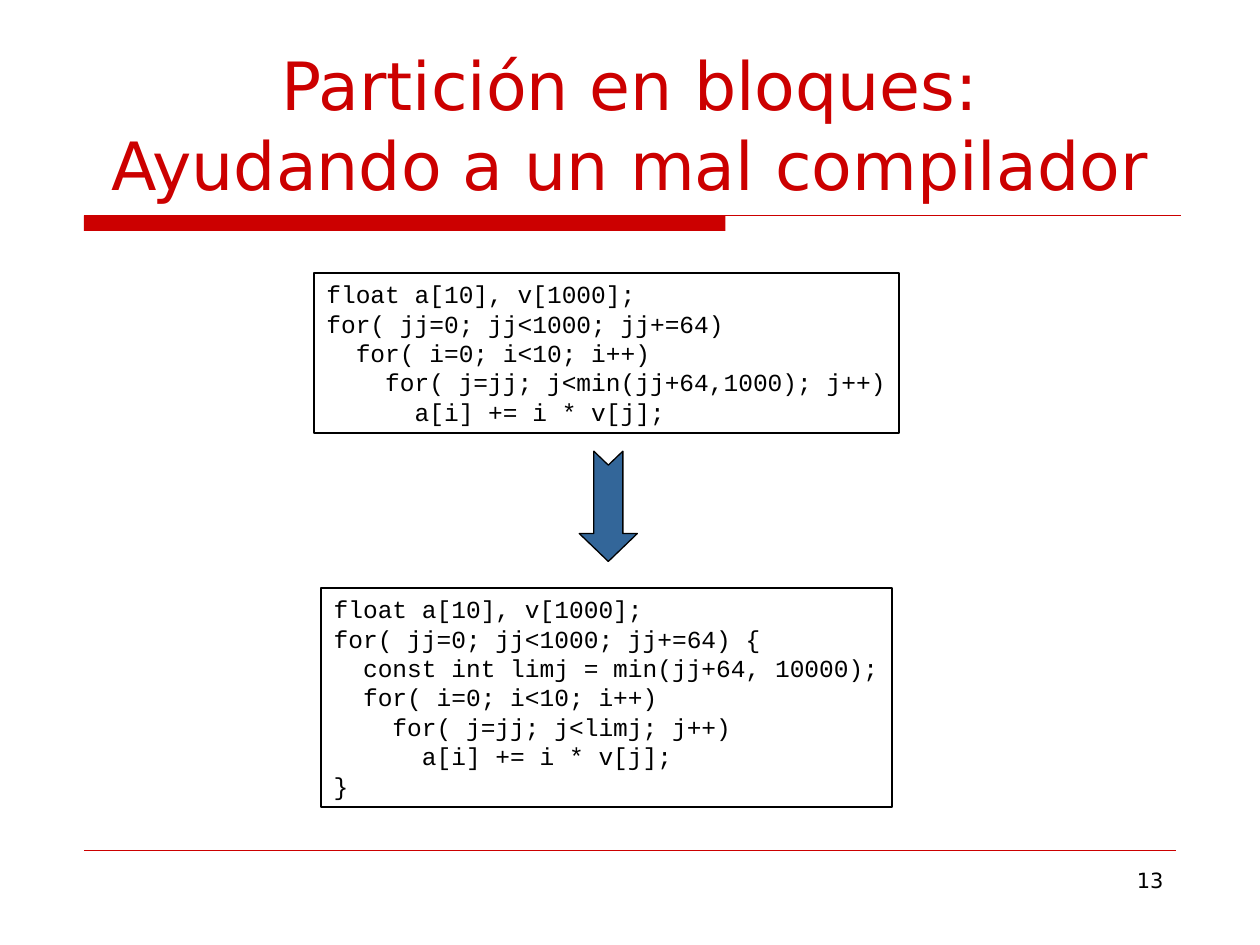
from dataclasses import dataclass

from pptx import Presentation
from pptx.dml.color import RGBColor as Rgb
from pptx.enum.shapes import MSO_CONNECTOR as Conn, MSO_SHAPE as Kind
from pptx.enum.text import MSO_ANCHOR as Anchor, MSO_AUTO_SIZE as Fit, PP_ALIGN as Align
from pptx.oxml.ns import qn
from pptx.util import Pt


@dataclass(frozen=True)
class Theme:
    red: Rgb = Rgb(0xCC, 0, 0)
    blue: Rgb = Rgb(0x33, 0x66, 0x99)
    ink: Rgb = Rgb(0, 0, 0)
    sans: str = "DejaVu Sans"
    mono: str = "Courier New"
    head: int = 38
    code: int = 14
    note: int = 12


THEME = Theme()

FIRST = """float a[10], v[1000];
for( jj=0; jj<1000; jj+=64)
  for( i=0; i<10; i++)
    for( j=jj; j<min(jj+64,1000); j++)
      a[i] += i * v[j];"""

SECOND = """float a[10], v[1000];
for( jj=0; jj<1000; jj+=64) {
  const int limj = min(jj+64, 10000);
  for( i=0; i<10; i++)
    for( j=jj; j<limj; j++)
      a[i] += i * v[j];
}"""


def pts(box):
    return [Pt(v) for v in box]


def add_run(para, text, font, size, color):
    run = para.add_run()
    run.text = text
    run.font.name = font
    run.font.size = Pt(size)
    run.font.color.rgb = color


def add_rule(slide, box, weight):
    x, y, wide = box
    rule = slide.shapes.add_connector(Conn.STRAIGHT, *pts((x, y, x + wide, y)))
    rule.line.color.rgb = THEME.red
    rule.line.width = Pt(weight)
    props = rule._element.spPr
    props.append(props.makeelement(qn("a:effectLst"), {}))


def add_title(slide, box, lines):
    title = slide.shapes.title
    title.left, title.top, title.width, title.height = pts(box)
    frame = title.text_frame
    frame.word_wrap = True
    frame.auto_size = Fit.NONE
    frame.vertical_anchor = Anchor.BOTTOM
    para = frame.paragraphs[0]
    para.alignment = Align.CENTER
    for i, line in enumerate(lines):
        if i:
            para.add_line_break()
        add_run(para, line, THEME.sans, THEME.head, THEME.red)


def add_band(slide, box):
    x, y, wide, high = box
    bar = slide.shapes.add_shape(Kind.RECTANGLE, *pts((x, y, wide * 0.585, high)))
    bar.shadow.inherit = False
    bar.fill.solid()
    bar.fill.fore_color.rgb = THEME.red
    bar.line.fill.background()
    add_rule(slide, (x, y, wide), 0.75)


def add_code(slide, box, code):
    shape = slide.shapes.add_shape(Kind.RECTANGLE, *pts(box))
    shape.shadow.inherit = False
    shape.fill.background()
    shape.line.color.rgb = THEME.ink
    shape.line.width = Pt(1)
    frame = shape.text_frame
    frame.word_wrap = False
    frame.auto_size = Fit.SHAPE_TO_FIT_TEXT
    frame.vertical_anchor = Anchor.TOP
    for i, line in enumerate(code.split("\n")):
        para = frame.add_paragraph() if i else frame.paragraphs[0]
        para.alignment = Align.LEFT
        add_run(para, line, THEME.mono, THEME.code, THEME.ink)


def add_arrow(slide, box):
    x, y, wide, high = box
    shift = (high - wide) / 2
    arrow = slide.shapes.add_shape(
        Kind.NOTCHED_RIGHT_ARROW, *pts((x - shift, y + shift, high, wide)))
    arrow.rotation = 90
    arrow.adjustments[0] = 0.5
    arrow.adjustments[1] = 0.48
    arrow.shadow.inherit = False
    arrow.fill.solid()
    arrow.fill.fore_color.rgb = THEME.blue
    arrow.line.color.rgb = THEME.ink
    arrow.line.width = Pt(0.75)


def add_foot(slide, box, number):
    x, y, wide, high = box
    add_rule(slide, (x, y, wide), 0.25)
    span = 156
    note = slide.shapes.add_textbox(*pts((x + wide - span, y + 6, span, high - 6)))
    frame = note.text_frame
    frame.word_wrap = True
    para = frame.paragraphs[0]
    para.alignment = Align.RIGHT
    add_run(para, number, THEME.sans, THEME.note, THEME.ink)


def main():
    deck = Presentation()
    deck.slide_width, deck.slide_height = Pt(720), Pt(540)
    slide = deck.slides.add_slide(deck.slide_layouts[5])
    add_band(slide, (48, 123.2, 626.6, 8.8))
    add_foot(slide, (48, 486, 624, 43.4), "13")
    add_title(slide, (45, 24, 630, 96),
              ("Partición en bloques:", "Ayudando a un mal compilador"))
    add_code(slide, (179.4, 156, 334.4, 91.6), FIRST)
    add_code(slide, (183.6, 336, 326.2, 125.4), SECOND)
    add_arrow(slide, (331, 257.8, 33.2, 63))
    deck.save("out.pptx")


if __name__ == "__main__":
    main()
